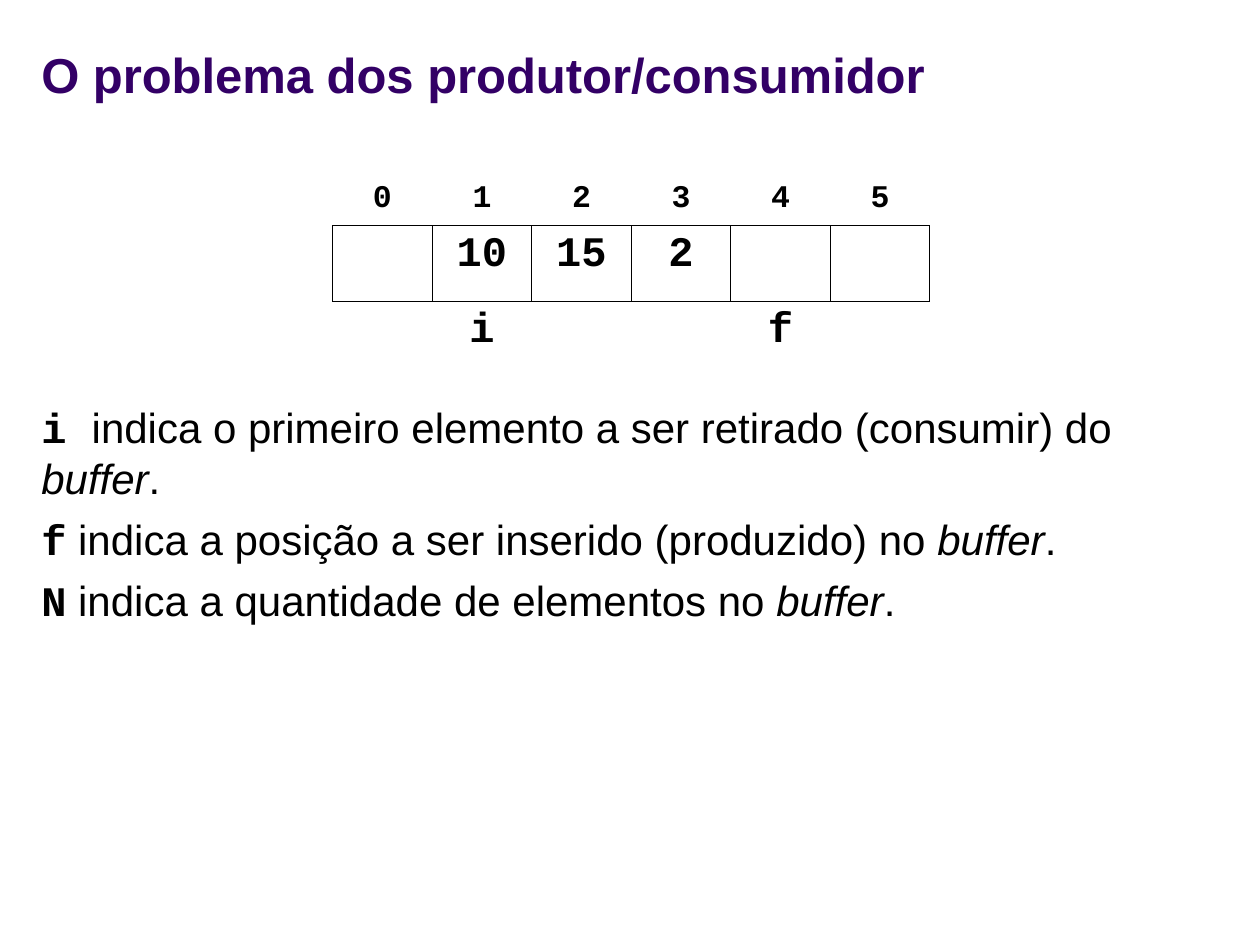
from dataclasses import dataclass

from lxml import etree
from pptx import Presentation
from pptx import util as u
from pptx.dml.color import RGBColor
from pptx.enum import text
from pptx.oxml.ns import qn

COLORS = {"title": "330066", "ink": "000000", "paper": "FFFFFF"}
SANS, MONO = "Arial", "Courier New"
LEFT, WIDTH = 0.23, 9.53
COLUMN_WIDTH = 0.79
BORDER_WIDTH = 0.45


@dataclass(frozen=True)
class Span:
    words: str
    font: str = SANS
    size: int = 24
    bold: bool = False
    italic: bool = False
    color: str = "ink"


@dataclass(frozen=True)
class BufferRow:
    values: tuple[str, ...]
    height: float
    size: int
    borders: str


BUFFER_ROWS = (
    BufferRow(("0", "1", "2", "3", "4", "5"), 0.4, 18, "B"),
    BufferRow(("", "10", "15", "2", "", ""), 0.6, 24, "LRTB"),
    BufferRow(("", "i", "", "", "f", ""), 0.52, 24, "T"),
)

DEFINITIONS = (
    ("i ", "indica o primeiro elemento a ser retirado (consumir) do "),
    ("f", " indica a posição a ser inserido (produzido) no "),
    ("N", " indica a quantidade de elementos no "),
)


def add_span(para, span: Span) -> None:
    run = para.add_run()
    run.text = span.words
    run.font.name = span.font
    run.font.size = u.Pt(span.size)
    run.font.bold = span.bold
    run.font.italic = span.italic
    run.font.color.rgb = RGBColor.from_string(COLORS[span.color])


def add_box(page, top: float, height: float):
    box = page.shapes.add_textbox(
        u.Inches(LEFT), u.Inches(top), u.Inches(WIDTH), u.Inches(height)
    )
    box.text_frame.word_wrap = True
    return box.text_frame


def set_borders(cell, visible: str) -> None:
    properties = cell._tc.get_or_add_tcPr()
    for side in "LRTB":
        line = etree.SubElement(properties, qn(f"a:ln{side}"))
        if side in visible:
            line.set("w", str(u.Pt(BORDER_WIDTH)))
            fill = etree.SubElement(line, qn("a:solidFill"))
            etree.SubElement(fill, qn("a:srgbClr")).set("val", COLORS["ink"])
        else:
            etree.SubElement(line, qn("a:noFill"))


def add_title(page) -> None:
    frame = add_box(page, 0, 1.17)
    frame.vertical_anchor = text.MSO_ANCHOR.MIDDLE
    add_span(
        frame.paragraphs[0],
        Span("O problema dos produtor/consumidor", size=28, bold=True, color="title"),
    )


def add_definitions(page) -> None:
    frame = add_box(page, 1.17, 5.49)
    frame.margin_top = u.Inches(2.02)
    for index, (symbol, meaning) in enumerate(DEFINITIONS):
        para = frame.add_paragraph() if index else frame.paragraphs[0]
        if index:
            para.space_before = u.Pt(6)
        spans = (
            Span(symbol, font=MONO, bold=True),
            Span(meaning),
            Span("buffer", italic=True),
            Span("."),
        )
        for span in spans:
            add_span(para, span)


def add_buffer(page) -> None:
    column_count = len(BUFFER_ROWS[0].values)
    table = page.shapes.add_table(
        len(BUFFER_ROWS),
        column_count,
        u.Inches(2.64),
        u.Inches(1.39),
        u.Inches(COLUMN_WIDTH * column_count),
        u.Inches(sum(row.height for row in BUFFER_ROWS)),
    ).table
    table.first_row = table.horz_banding = False
    for column in table.columns:
        column.width = u.Inches(COLUMN_WIDTH)
    for row_index, row in enumerate(BUFFER_ROWS):
        table.rows[row_index].height = u.Inches(row.height)
        for column_index, value in enumerate(row.values):
            cell = table.cell(row_index, column_index)
            set_borders(cell, row.borders)
            cell.fill.solid()
            cell.fill.fore_color.rgb = RGBColor.from_string(COLORS["paper"])
            if value:
                para = cell.text_frame.paragraphs[0]
                para.alignment = text.PP_ALIGN.CENTER
                add_span(para, Span(value, font=MONO, size=row.size, bold=True))


def main() -> None:
    deck = Presentation()
    deck.slide_width, deck.slide_height = u.Inches(10), u.Inches(7.5)
    page = deck.slides.add_slide(deck.slide_layouts[6])
    add_title(page)
    add_definitions(page)
    add_buffer(page)
    deck.save("out.pptx")


if __name__ == "__main__":
    main()
